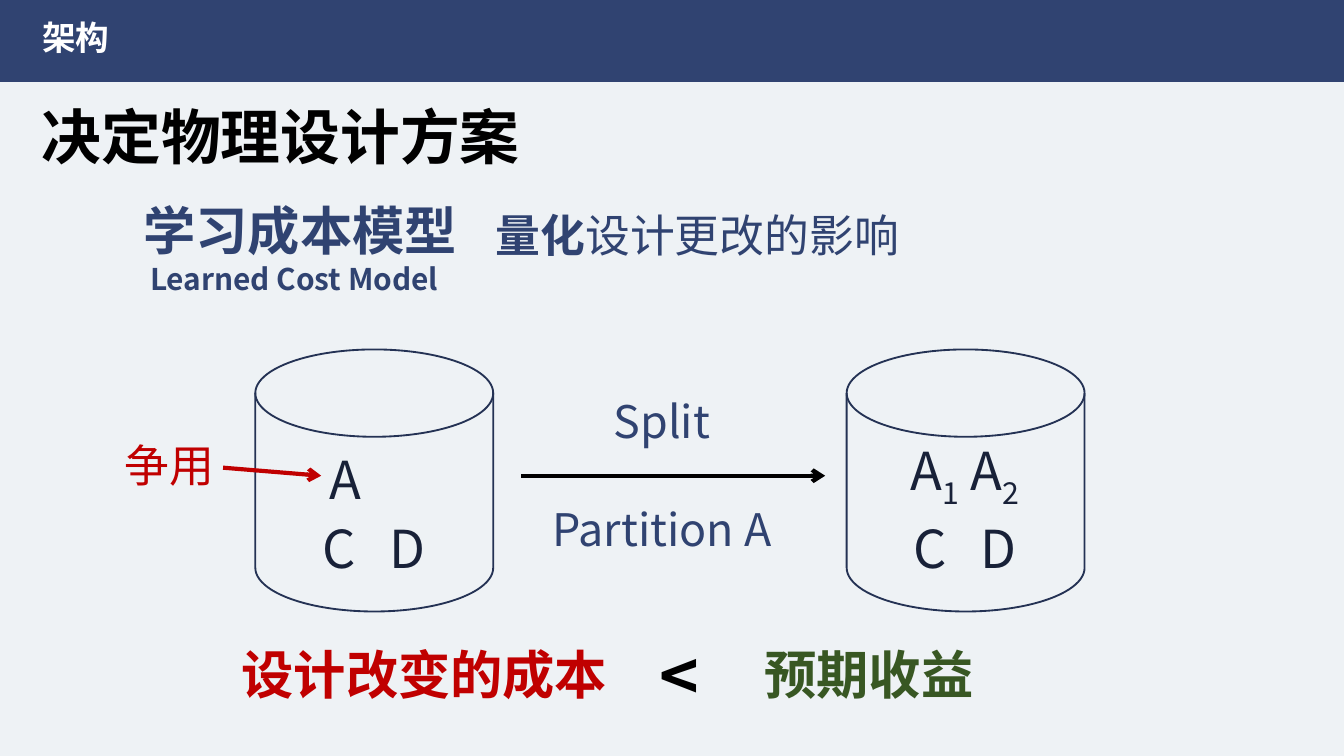
from dataclasses import dataclass

import pptx
import pptx.dml.color
import pptx.enum.shapes
import pptx.enum.text
import pptx.oxml
import pptx.oxml.ns
import pptx.shapes.autoshape
import pptx.shapes.base
import pptx.slide
import pptx.text.text
import pptx.util
from pptx.util import Inches

ALIGN = pptx.enum.text.PP_ALIGN
DRAWING = pptx.oxml.ns.nsdecls("a")


@dataclass(frozen=True)
class Theme:
    background: str = "EEF2F5"
    navy: str = "304371"
    outline: str = "243254"
    ink: str = "182138"
    black: str = "000000"
    white: str = "FFFFFF"
    red: str = "C00000"
    green: str = "385723"
    font: str = "Noto Sans CJK SC"
    title_font: str = "Calibri"
    small: int = 16
    header: int = 18
    text: int = 24
    large: int = 28
    title: int = 32
    sign: int = 36
    line_height: float = 1.2


THEME = Theme()


@dataclass(frozen=True)
class Piece:
    """A run of text; bold None follows the label."""
    text: str
    bold: bool | None = None
    subscript: bool = False


@dataclass(frozen=True)
class Label:
    left: float
    top: float
    width: float
    height: float
    paragraphs: tuple[tuple[Piece, ...], ...]
    size: int
    color: str
    bold: bool = False
    centered: bool = False
    wrap: bool = True
    font: str = THEME.font
    paragraph_gap: int = 0
    tab_stop: float = 0


@dataclass(frozen=True)
class Arrow:
    start: tuple[float, float]
    end: tuple[float, float]
    color: str


def rgb(color: str) -> pptx.dml.color.RGBColor:
    return pptx.dml.color.RGBColor.from_string(color)


def line(text: str) -> tuple[tuple[Piece, ...], ...]:
    """Return paragraphs that hold one plain line."""
    return ((Piece(text),),)


def place(shape: pptx.shapes.base.BaseShape, label: Label) -> None:
    shape.left, shape.top = Inches(label.left), Inches(label.top)
    shape.width, shape.height = Inches(label.width), Inches(label.height)


def add_piece(paragraph: pptx.text.text._Paragraph, piece: Piece, label: Label) -> None:
    run = paragraph.add_run()
    run.text = piece.text
    run.font.name = label.font
    run.font.size = pptx.util.Pt(label.size)
    run.font.bold = label.bold if piece.bold is None else piece.bold
    run.font.color.rgb = rgb(label.color)
    properties = run.font._element
    properties.append(pptx.oxml.parse_xml(
        f'<a:ea {DRAWING} typeface="{THEME.font}"/>'))
    if piece.subscript:
        properties.set("baseline", "-25000")


def fill_label(shape: pptx.shapes.autoshape.Shape, label: Label) -> None:
    place(shape, label)
    frame = shape.text_frame
    frame.word_wrap = label.wrap
    frame.auto_size = pptx.enum.text.MSO_AUTO_SIZE.SHAPE_TO_FIT_TEXT
    frame.vertical_anchor = pptx.enum.text.MSO_ANCHOR.TOP
    for index, pieces in enumerate(label.paragraphs):
        paragraph = frame.add_paragraph() if index else frame.paragraphs[0]
        if label.tab_stop:
            paragraph._p.get_or_add_pPr().append(pptx.oxml.parse_xml(
                f'<a:tabLst {DRAWING}>'
                f'<a:tab pos="{Inches(label.tab_stop)}" algn="l"/></a:tabLst>'))
        paragraph.alignment = ALIGN.CENTER if label.centered else ALIGN.LEFT
        paragraph.line_spacing = pptx.util.Pt(label.size * THEME.line_height)
        paragraph.space_before = pptx.util.Pt(label.paragraph_gap if index else 0)
        for piece in pieces:
            add_piece(paragraph, piece, label)


def add_label(slide: pptx.slide.Slide, label: Label) -> None:
    fill_label(slide.shapes.add_textbox(0, 0, 0, 0), label)


def add_banner(slide: pptx.slide.Slide) -> None:
    banner = slide.shapes.add_shape(
        pptx.enum.shapes.MSO_SHAPE.RECTANGLE, 0, 0, Inches(10), Inches(0.61))
    banner.shadow.inherit = False
    banner.fill.solid()
    banner.fill.fore_color.rgb = rgb(THEME.navy)
    banner.line.fill.background()


def add_store(slide: pptx.slide.Slide, left: float, top_row: Label) -> None:
    """Draw a data store with its upper row of items and the shared row C, D."""
    store = slide.shapes.add_shape(
        pptx.enum.shapes.MSO_SHAPE.FLOWCHART_MAGNETIC_DISK,
        Inches(left), Inches(2.6), Inches(1.77), Inches(1.95))
    store.shadow.inherit = False
    store.fill.background()
    store.line.color.rgb = rgb(THEME.outline)
    store.line.width = pptx.util.Pt(1)
    add_label(slide, Label(left + 0.4, 3.79, 1.11, 0.57, line("C\tD"),
                           THEME.large, THEME.ink, tab_stop=0.5))
    add_label(slide, top_row)


def add_arrow(slide: pptx.slide.Slide, arrow: Arrow) -> None:
    connector = slide.shapes.add_connector(
        pptx.enum.shapes.MSO_CONNECTOR.STRAIGHT,
        *(Inches(value) for value in arrow.start + arrow.end))
    connector.line.color.rgb = rgb(arrow.color)
    connector.line.width = pptx.util.Pt(2.25)
    connector.line._get_or_add_ln().append(pptx.oxml.parse_xml(
        f'<a:tailEnd {DRAWING} type="arrow"/>'))
    connector._element.spPr.append(pptx.oxml.parse_xml(f'<a:effectLst {DRAWING}/>'))


TITLE = Label(0.21, 0.69, 8.4, 0.64, line("决定物理设计方案"), THEME.title,
              THEME.black, bold=True, font=THEME.title_font)
HEADINGS = (
    Label(0.06, 0.08, 1.01, 0.4, line("架构"), THEME.header, THEME.white,
          bold=True, centered=True),
    Label(3.59, 1.5, 3.26, 0.5, ((Piece("量化", bold=True), Piece("设计更改的影响")),),
          THEME.text, THEME.navy),
    Label(0.97, 1.43, 2.67, 0.57, line("学习成本模型"), THEME.large, THEME.navy, bold=True),
    Label(1.02, 1.89, 2.74, 0.37, line("Learned Cost Model"), THEME.small,
          THEME.navy, bold=True),
)
WHOLE_ITEM = Label(2.32, 3.28, 0.5, 0.57, line("A"), THEME.large, THEME.ink,
                   centered=True, wrap=False)
SPLIT_ITEMS = Label(
    6.59, 3.28, 1.18, 0.57,
    ((Piece("A"), Piece("1", subscript=True), Piece(" A"), Piece("2", subscript=True)),),
    THEME.large, THEME.ink, centered=True, wrap=False)
NOTES = (
    Label(0.82, 3.21, 0.88, 0.5, line("争用"), THEME.text, THEME.red,
          centered=True, wrap=False),
    Label(3.97, 2.88, 1.91, 1.31, line("Split") + line("Partition A"), THEME.text,
          THEME.navy, centered=True, wrap=False, paragraph_gap=29),
    Label(1.7, 4.73, 3.01, 0.57, line("设计改变的成本"), THEME.large, THEME.red, bold=True),
    Label(5.59, 4.73, 2.01, 0.57, line("预期收益"), THEME.large, THEME.green, bold=True),
    Label(4.81, 4.67, 0.67, 0.71, line("<"), THEME.sign, THEME.black, bold=True),
)
ARROWS = (
    Arrow((1.66, 3.48), (2.39, 3.54), THEME.red),
    Arrow((3.88, 3.54), (6.14, 3.54), THEME.black),
)


def main() -> None:
    presentation = pptx.Presentation()
    presentation.slide_width = Inches(10)
    presentation.slide_height = Inches(10 * 9 / 16)
    slide = presentation.slides.add_slide(presentation.slide_layouts[5])
    slide.background.fill.solid()
    slide.background.fill.fore_color.rgb = rgb(THEME.background)
    add_banner(slide)
    fill_label(slide.shapes.title, TITLE)
    for label in HEADINGS:
        add_label(slide, label)
    add_store(slide, 1.9, WHOLE_ITEM)
    add_store(slide, 6.3, SPLIT_ITEMS)
    for arrow in ARROWS:
        add_arrow(slide, arrow)
    for label in NOTES:
        add_label(slide, label)
    presentation.save("out.pptx")


if __name__ == "__main__":
    main()
